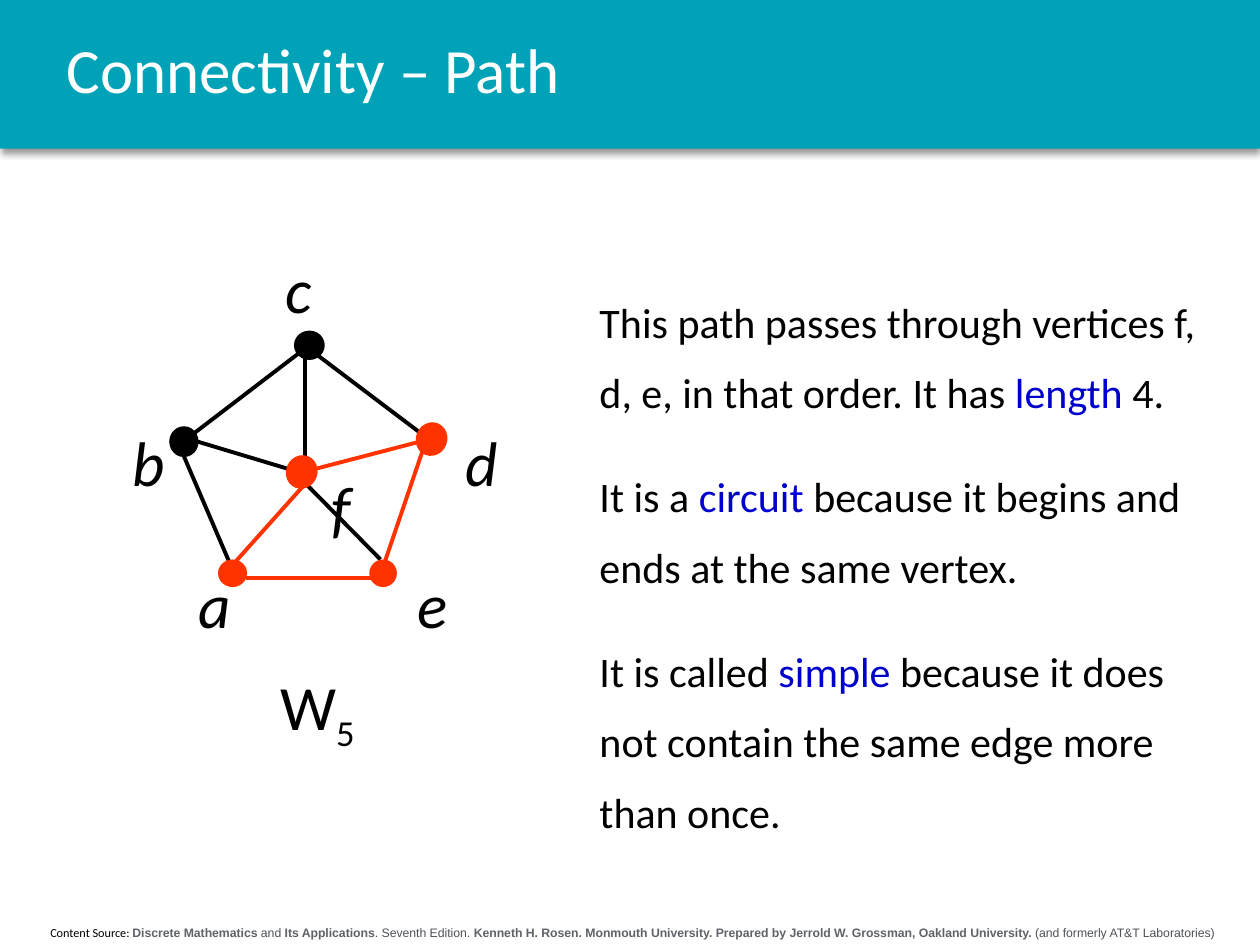
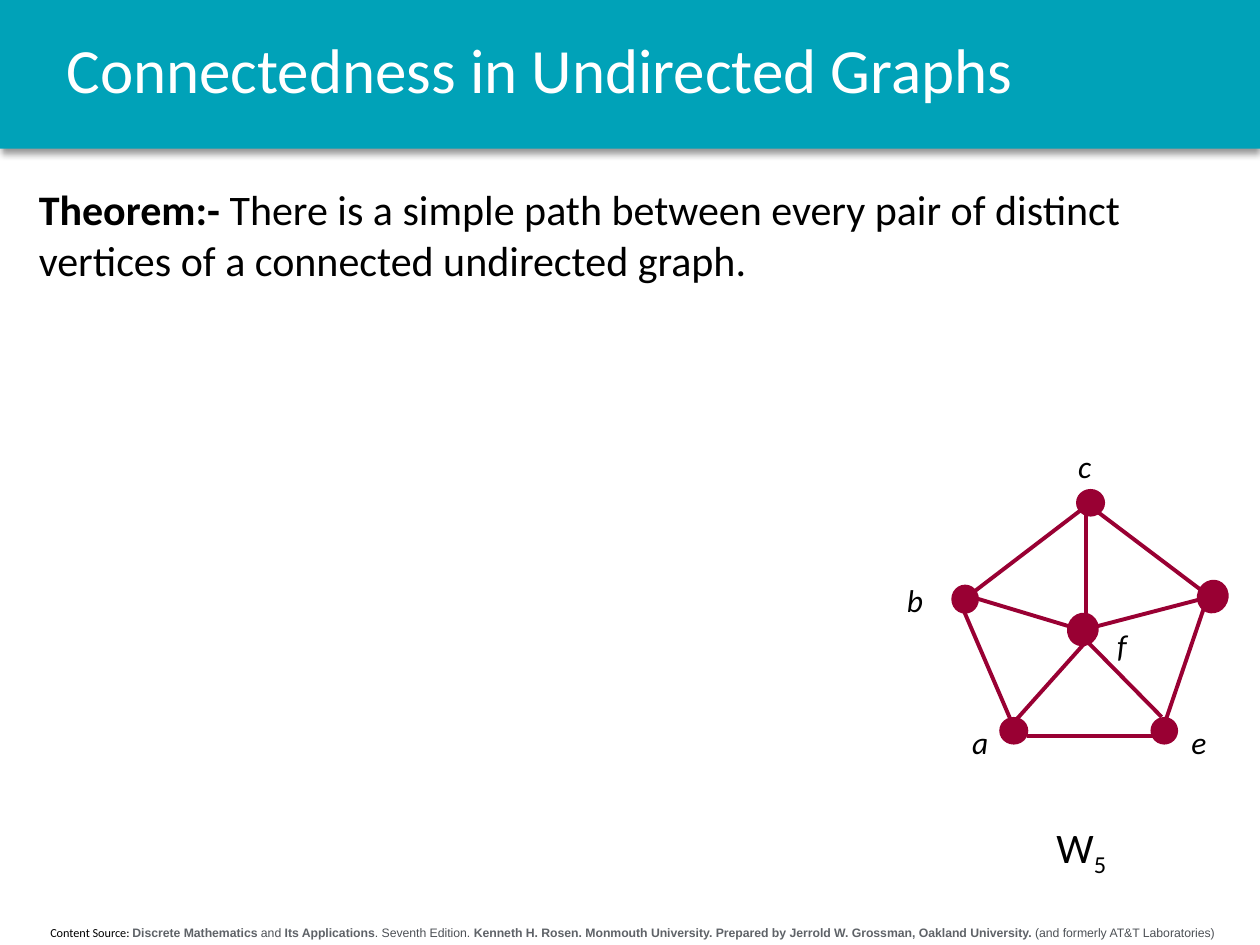
"""Build two slides on connectivity in undirected graphs."""
import pptx
import pptx.dml.color
import pptx.enum.shapes
import pptx.enum.text
import pptx.oxml
import pptx.oxml.ns
import pptx.util

Pt = pptx.util.Pt
RGB = pptx.dml.color.RGBColor
ANCHOR = pptx.enum.text.MSO_ANCHOR
SHAPE = pptx.enum.shapes.MSO_SHAPE
STRAIGHT = pptx.enum.shapes.MSO_CONNECTOR.STRAIGHT

TEAL = RGB(0x00, 0xA2, 0xB8)
WHITE = RGB(0xFF, 0xFF, 0xFF)
BLACK = RGB(0x00, 0x00, 0x00)
BLUE = RGB(0x00, 0x00, 0xCC)
ORANGE = RGB(0xFF, 0x33, 0x00)
MAROON = RGB(0x99, 0x00, 0x33)
GREY = RGB(0x5F, 0x63, 0x68)
DARK_GREY = RGB(0x4D, 0x51, 0x56)

BODY_FONT, SOURCE_FONT = "Calibri", "Arial"
INSET = 7.2
SPACE_WIDTH = 0.226

SOURCE = [
    ("Content Source: ", {"color": BLACK, "name": BODY_FONT}),
    ("Discrete Mathematics", {"color": GREY, "bold": True}),
    (" and ", {"color": DARK_GREY}),
    ("Its Applications", {"color": GREY, "bold": True}),
    (". Seventh Edition. ", {"color": DARK_GREY}),
    ("Kenneth H. Rosen. Monmouth University. Prepared by Jerrold W. Grossman, Oakland University.",
     {"color": GREY, "bold": True}),
    (" (and formerly AT&T Laboratories)", {"color": DARK_GREY}),
]

TERM = {"color": BLUE}
PATH_NOTES = [
    [("This path passes through vertices f, d, e, in that order. It has ", {}),
     ("length", TERM), (" 4.", {})],
    [("It is a ", {}), ("circuit", TERM),
     (" because it begins and ends at the same vertex.", {})],
    [("It is called ", {}), ("simple", TERM),
     (" because it does not contain the same edge more than once.", {})],
]
THEOREM = [[
    ("Theorem:-", {"bold": True}),
    (" There is a simple path between every pair of distinct vertices"
     " of a connected undirected graph.", {}),
]]

EDGES = {
    "df": (72, 81.4, 152.6, 60.4),
    "af": (29.5, 140.4, 77.8, 86.4),
    "ab": (2.9, 59.7, 36, 136.8),
    "ae": (118.8, 141.1, 43.2, 141.1),
    "de": (121.7, 134.6, 146.2, 62.6),
    "cd": (83.5, 13, 146.2, 60.4),
    "bc": (10.8, 60.4, 81.4, 6.5),
    "bf": (7.2, 60.4, 77, 81.4),
    "ef": (72, 81.4, 120.2, 130.3),
    "cf": (77, 12.2, 77, 81.4),
}
VERTICES = {
    "a": (27.4, 130.3, 16.6, 15.8),
    "b": (0, 54.7, 15.8, 16.6),
    "c": (71.3, 0, 16.6, 15.8),
    "d": (140.4, 51.8, 18, 19.4),
    "e": (113.8, 130.3, 15.8, 15.8),
    "f": (66.2, 70.6, 18, 19.4),
}
TILTED = "df"

PATH_GRAPH = {
    "origin": (97.2, 189.4),
    "color": BLACK,
    "marked": ("af", "ae", "de", "df", "a", "d", "e", "f"),
    "outlined": "bc",
    "label_size": 36,
    "label_box": (44, 51),
    "labels": {"a": (97.9, 319.7), "b": (60.5, 238.3), "c": (147.6, 139.7),
               "d": (250.6, 238.3), "e": (223.2, 319.7), "f": (174.2, 264.2)},
    "name_size": 36,
    "name_box": (144.7, 378, 68.4, 51),
}
WHEEL_GRAPH = {
    "origin": (543.6, 279.4),
    "color": MAROON,
    "marked": (),
    "outlined": "",
    "label_size": 18,
    "label_box": (28, 28.8),
    "labels": {"a": (544.3, 409.7), "b": (506.9, 328.3), "c": (604.8, 252),
               "e": (669.6, 409.7), "f": (627.1, 354.2)},
    "name_size": 24,
    "name_box": (591.1, 465.8, 52.6, 36),
}

SLIDES = [
    {"title": "Connectivity – Path", "paragraphs": PATH_NOTES,
     "box": (335.5, 109.4, 372.2, 372.2), "anchor": ANCHOR.BOTTOM,
     "spacing": 1.4, "graph": PATH_GRAPH},
    {"title": "Connectedness in Undirected Graphs", "paragraphs": THEOREM,
     "box": (15.1, 101.5, 681.8, 65.5), "anchor": ANCHOR.TOP,
     "spacing": 1, "graph": WHEEL_GRAPH},
]


def points(*lengths):
    return [Pt(length) for length in lengths]


def add_text(slide, box, paragraphs, size, color=BLACK, name=BODY_FONT, italic=False,
             anchor=ANCHOR.TOP, spacing=1, gap=0, align=None, wrap=True):
    frame = slide.shapes.add_textbox(*points(*box)).text_frame
    frame.word_wrap = wrap
    frame.vertical_anchor = anchor
    for index, runs in enumerate(paragraphs):
        paragraph = frame.add_paragraph() if index else frame.paragraphs[0]
        paragraph.line_spacing = spacing
        paragraph.alignment = align
        if index:
            paragraph.space_before = Pt(gap)
        font = paragraph.font
        font.size, font.name, font.italic = Pt(size), name, italic
        font.color.rgb = color
        for text, style in runs:
            run = paragraph.add_run()
            run.text = text
            if "color" in style:
                run.font.color.rgb = style["color"]
            if "bold" in style:
                run.font.bold = style["bold"]
            if "name" in style:
                run.font.name = style["name"]
    return frame


def add_filled(slide, kind, box, color):
    shape = slide.shapes.add_shape(kind, *points(*box))
    shape.shadow.inherit = False
    shape.fill.solid()
    shape.fill.fore_color.rgb = color
    shape.line.fill.background()
    return shape


def add_frame(slide, title):
    band = add_filled(slide, SHAPE.RECTANGLE, (0, 0, 720, 85), TEAL)
    effects = band._element.spPr.find(pptx.oxml.ns.qn("a:effectLst"))
    effects.append(pptx.oxml.parse_xml(
        f'<a:outerShdw {pptx.oxml.ns.nsdecls("a")} blurRad="{Pt(4)}" dist="{Pt(3)}"'
        ' dir="5400000" rotWithShape="0"><a:srgbClr val="000000">'
        '<a:alpha val="40000"/></a:srgbClr></a:outerShdw>'))
    add_text(slide, (2.9, 524.9, 717.1, 15.8), [SOURCE], 7, name=SOURCE_FONT,
             align=pptx.enum.text.PP_ALIGN.CENTER)
    add_text(slide, (31, -0.7, 669.6, 85), [[(title, {})]], 36, WHITE,
             anchor=ANCHOR.MIDDLE, spacing=0.9)


def add_label(slide, box, text, size, italic=False):
    frame = add_text(slide, box, [[(text, {})]], size, italic=italic, wrap=False)
    frame.margin_left = Pt(INSET + SPACE_WIDTH * size)
    return frame.paragraphs[0]


def add_graph(slide, graph):
    left, top = graph["origin"]

    def color_of(part):
        return ORANGE if part in graph["marked"] else graph["color"]

    for edge, (x1, y1, x2, y2) in EDGES.items():
        line = slide.shapes.add_connector(
            STRAIGHT, *points(left + x1, top + y1, left + x2, top + y2))
        line.line.color.rgb = color_of(edge)
        line.line.width = Pt(2.25)
        line._element.spPr.append(pptx.oxml.parse_xml(
            f'<a:effectLst {pptx.oxml.ns.nsdecls("a")}/>'))
    for vertex, (x, y, width, height) in VERTICES.items():
        dot = add_filled(slide, SHAPE.OVAL, (left + x, top + y, width, height),
                         color_of(vertex))
        if vertex in TILTED:
            dot.rotation = 20.8
        if vertex in graph["outlined"]:
            dot.line.color.rgb = graph["color"]
            dot.line.width = Pt(1)
    for vertex, corner in graph["labels"].items():
        add_label(slide, corner + graph["label_box"], vertex, graph["label_size"], True)
    graph_name = add_label(slide, graph["name_box"], "W", graph["name_size"])
    order = graph_name.add_run()
    order.text = "5"
    order.font._element.set("baseline", "-25000")


def main():
    deck = pptx.Presentation()
    deck.slide_width, deck.slide_height = points(720, 540)
    for content in SLIDES:
        slide = deck.slides.add_slide(deck.slide_layouts[6])
        add_frame(slide, content["title"])
        add_text(slide, content["box"], content["paragraphs"], 24,
                 anchor=content["anchor"], spacing=content["spacing"], gap=19)
        add_graph(slide, content["graph"])
    deck.save("out.pptx")


if __name__ == "__main__":
    main()
